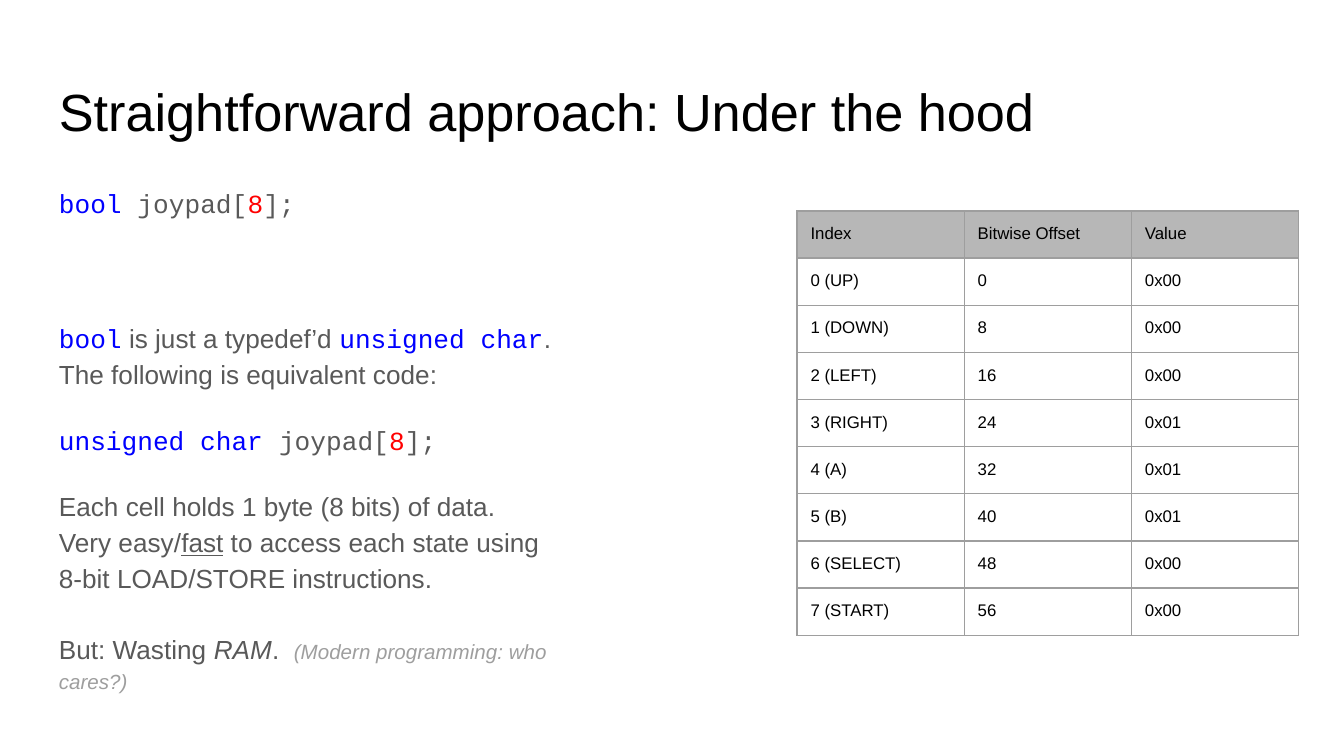
from lxml.etree import SubElement
from pptx import Presentation
from pptx.dml.color import RGBColor
from pptx.oxml.ns import qn
from pptx.util import Pt

BLACK = RGBColor(0x00, 0x00, 0x00)
GRAY = RGBColor(0x59, 0x59, 0x59)
LIGHT_GRAY = RGBColor(0x9E, 0x9E, 0x9E)
HEADER_GRAY = RGBColor(0xB7, 0xB7, 0xB7)
BLUE = RGBColor(0x00, 0x00, 0xFF)
RED = RGBColor(0xFF, 0x00, 0x00)

STYLES = {
    "title": ("Arial", 28, BLACK),
    "cell": ("Arial", 9, BLACK),
    "plain": ("Arial", 14, GRAY),
    "underline": ("Arial", 14, GRAY),
    "italic": ("Arial", 14, GRAY),
    "aside": ("Arial", 11, LIGHT_GRAY),
    "code": ("Courier New", 14, GRAY),
    "keyword": ("Courier New", 14, BLUE),
    "number": ("Courier New", 14, RED),
}

TITLE = "Straightforward approach: Under the hood"
DECLARATION = [("code", " joypad["), ("number", "8"), ("code", "];")]
BODY = [
    (0, [[("keyword", "bool")] + DECLARATION]),
    (53, [
        [("keyword", "bool"), ("plain", " is just a typedef’d "),
         ("keyword", "unsigned char"), ("plain", ".")],
        [("plain", "The following is equivalent code:")],
    ]),
    (16, [[("keyword", "unsigned char")] + DECLARATION]),
    (16, [
        [("plain", "Each cell holds 1 byte (8 bits) of data.")],
        [("plain", "Very easy/"), ("underline", "fast"),
         ("plain", " to access each state using")],
        [("plain", "8-bit LOAD/STORE instructions.")],
    ]),
    (19, [[("plain", "But: Wasting "), ("italic", "RAM"), ("plain", ".  "),
           ("aside", "(Modern programming: who cares?)")]]),
]

HEADERS = ["Index", "Bitwise Offset", "Value"]
BUTTONS = [
    ("UP", "0x00"), ("DOWN", "0x00"), ("LEFT", "0x00"), ("RIGHT", "0x01"),
    ("A", "0x01"), ("B", "0x01"), ("SELECT", "0x00"), ("START", "0x00"),
]
BITS_PER_CELL = 8
COLUMN_WIDTH, ROW_HEIGHT = 89.6, 24.5
INSET = 7.2


def add_span(para, style, text):
    span = para.add_run()
    span.text = text
    span.font.name, size, span.font.color.rgb = STYLES[style]
    span.font.size = Pt(size)
    if style == "underline":
        span.font.underline = True
    if style in ("italic", "aside"):
        span.font.italic = True


def set_insets(target):
    target.margin_left = target.margin_right = Pt(INSET)
    target.margin_top = target.margin_bottom = Pt(INSET)


def add_text_box(page, left, top, width, height):
    frame = page.shapes.add_textbox(Pt(left), Pt(top), Pt(width), Pt(height)).text_frame
    frame.word_wrap = True
    set_insets(frame)
    return frame


def add_borders(cell):
    properties = cell._tc.get_or_add_tcPr()
    for side in ("a:lnL", "a:lnR", "a:lnT", "a:lnB"):
        line = SubElement(properties, qn(side), w=str(Pt(0.75)))
        fill = SubElement(line, qn("a:solidFill"))
        SubElement(fill, qn("a:srgbClr"), val=str(LIGHT_GRAY))


def add_body(page):
    frame = add_text_box(page, 24.5, 90.7, 314.6, 269.3)
    for index, (space, lines) in enumerate(BODY):
        para = frame.paragraphs[0] if index == 0 else frame.add_paragraph()
        para.line_spacing = 1.15
        para.space_before = Pt(space)
        for number, spans in enumerate(lines):
            if number:
                para.add_line_break()
            for style, text in spans:
                add_span(para, style, text)


def add_memory_table(page):
    rows = [HEADERS] + [
        (f"{index} ({name})", str(index * BITS_PER_CELL), value)
        for index, (name, value) in enumerate(BUTTONS)
    ]
    table = page.shapes.add_table(
        len(rows), len(HEADERS), Pt(427), Pt(113),
        Pt(COLUMN_WIDTH * len(HEADERS)), Pt(ROW_HEIGHT * len(rows)),
    ).table
    for column in table.columns:
        column.width = Pt(COLUMN_WIDTH)
    for row_index, values in enumerate(rows):
        table.rows[row_index].height = Pt(ROW_HEIGHT)
        for column_index, text in enumerate(values):
            cell = table.cell(row_index, column_index)
            set_insets(cell)
            add_borders(cell)
            if row_index == 0:
                cell.fill.solid()
                cell.fill.fore_color.rgb = HEADER_GRAY
            else:
                cell.fill.background()
            add_span(cell.text_frame.paragraphs[0], "cell", text)


def main():
    deck = Presentation()
    deck.slide_width, deck.slide_height = Pt(720), Pt(405)
    page = deck.slides.add_slide(deck.slide_layouts[6])
    title = add_text_box(page, 24.5, 35, 671, 45)
    add_span(title.paragraphs[0], "title", TITLE)
    add_memory_table(page)
    add_body(page)
    deck.save("out.pptx")


if __name__ == "__main__":
    main()
